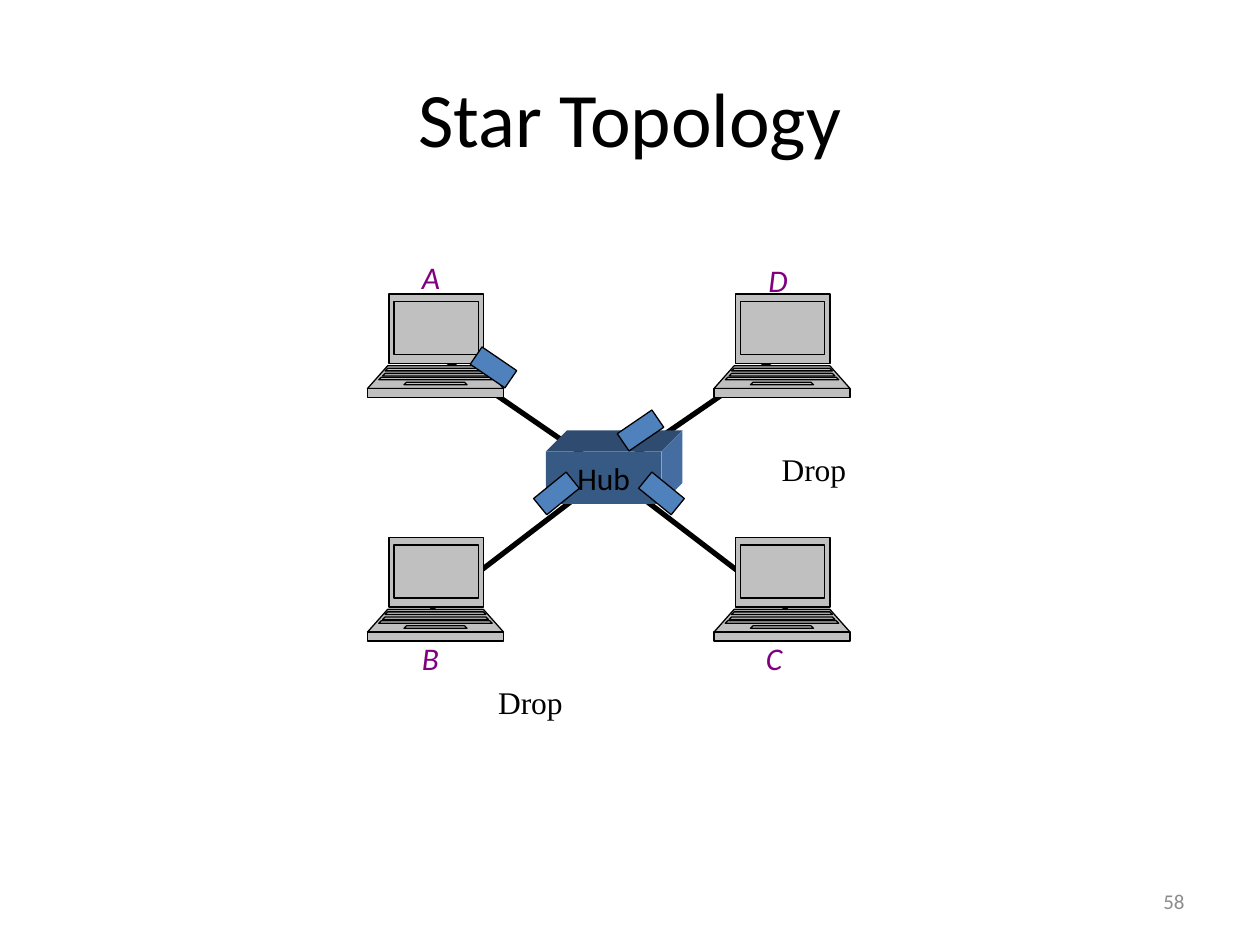
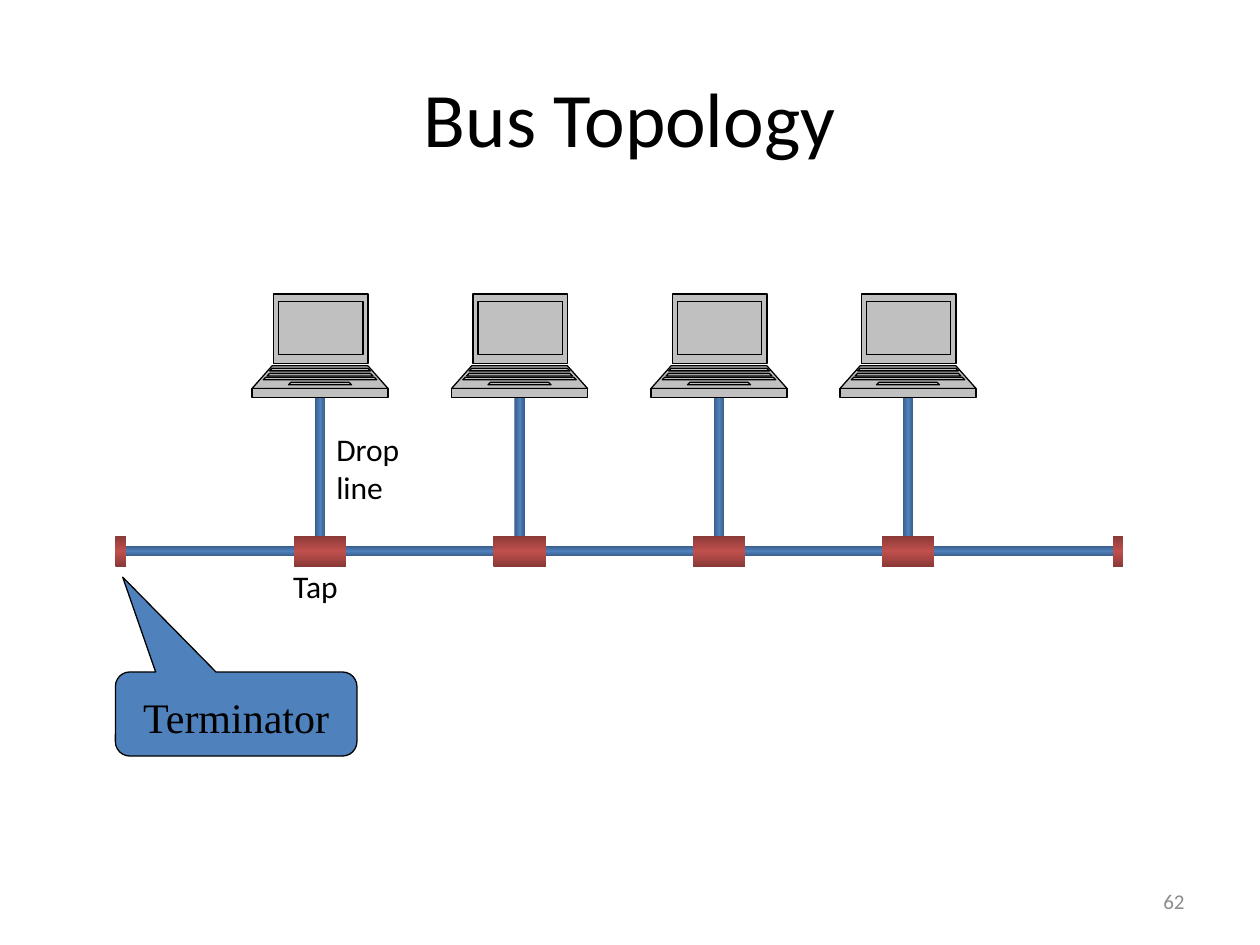
from copy import deepcopy
from typing import NamedTuple

from lxml import etree
from pptx import Presentation
from pptx import util as u
from pptx.dml.color import RGBColor
from pptx.enum import shapes, text
from pptx.oxml import ns

COLS, ROWS = 120, 90  # grid of the slide, twelve cells to the inch
CELL = u.Inches(10) // COLS

BLACK, GREY, PURPLE = "000000", "8C8C8C", "800080"
BLUE, DARK_BLUE = "4F81BD", "395C87"
RED, DARK_RED = "C0504D", "893937"
CASE = "C0C0C0"
HUB_FRONT, HUB_TOP, HUB_SIDE = "375A84", "2F4B70", "456DA2"
SANS, SERIF = "Calibri", "Times New Roman"
RECT = shapes.MSO_SHAPE.RECTANGLE


class Box(NamedTuple):
    """Place and size in grid cells."""
    col: float
    row: float
    width: float
    height: float


class Label(NamedTuple):
    words: str
    box: Box
    color: str = BLACK
    font: str = SANS
    italic: bool = False


class Plug(NamedTuple):
    col: float
    row: float
    angle: float


class Trapezoid(NamedTuple):
    """Part of a laptop, in hundredths of an inch."""
    top_left: int
    top_right: int
    bottom_left: int
    bottom_right: int
    top: int
    bottom: int


LAPTOP_PARTS = (
    Trapezoid(17, 92, 17, 92, 0, 55),    # lid
    Trapezoid(16, 92, 0, 108, 57, 75),   # deck
    Trapezoid(0, 108, 0, 108, 75, 82),   # front edge
    Trapezoid(21, 88, 21, 88, 6, 48),    # screen
    Trapezoid(16, 92, 14, 94, 59, 61),   # three rows of keys
    Trapezoid(14, 94, 12, 96, 63, 65),
    Trapezoid(11, 97, 9, 99, 66, 68),
    Trapezoid(31, 77, 29, 79, 70, 72),   # touchpad
)

TITLE_BOX = Box(6, 3.6, 108, 15)
NUMBER_BOX = Box(86, 83.4, 28, 4.8)
LAPTOP_ROW = 28

# Star slide
STAR_COLS, STAR_ROWS = (35, 68), (LAPTOP_ROW, 51.2)
HUB = Box(52, 43, 11, 5)
HUB_DEPTH = 2
HUB_CENTER = (58, 45)
CABLE_ENDS = ((42, 34), (74, 34), (41, 58), (75, 58))
PLUGS = (Plug(45, 34, 34.3), Plug(59, 40, 325.7),
         Plug(51, 46, 320.9), Plug(61, 46, 39.1))
STAR_LABELS = (
    Label("A", Box(39, 24, 4.2, 4.8), PURPLE, italic=True),
    Label("D", Box(72, 24.25, 4.4, 4.8), PURPLE, italic=True),
    Label("B", Box(39, 60.25, 4.2, 4.8), PURPLE, italic=True),
    Label("C", Box(71.75, 60.25, 4.2, 4.8), PURPLE, italic=True),
    Label("Drop", Box(46.25, 64.5, 8.8, 4.8), font=SERIF),
    Label("Drop", Box(73.25, 42.25, 8.8, 4.8), font=SERIF),
)

# Bus slide
BUS_COLS = (24, 43, 62, 80)
BUS = Box(12, 52, 94, 1)
TAP_ROW, TAP_HEIGHT = 51, 3
BUS_LABELS = (
    Label("Drop\vline", Box(30.85, 40.4, 8.9, 8.4)),
    Label("Tap", Box(26.75, 53.4, 7.4, 4.8)),
)
CALLOUT = Box(11, 64, 23, 8)


def grid(cells: float) -> u.Emu:
    return u.Emu(round(cells * CELL))


def place(box: Box) -> tuple:
    return tuple(grid(v) for v in box)


def rgb(color: str) -> RGBColor:
    return RGBColor.from_string(color)


def paint(sp, fill: str, line: str = "") -> None:
    """Fill a shape and give it a thin outline if a line colour is named."""
    sp.shadow.inherit = False
    sp.fill.solid()
    sp.fill.fore_color.rgb = rgb(fill)
    if line:
        sp.line.color.rgb = rgb(line)
        sp.line.width = u.Pt(0.75)
    else:
        sp.line.fill.background()


def write(sp, words: str, *, size: float = 18, font: str = SANS,
          color: str = BLACK, italic: bool = False, align: str = "LEFT",
          anchor: str = "TOP", wrap: bool = True, grow: bool = False) -> None:
    tf = sp.text_frame
    tf.word_wrap = wrap
    tf.vertical_anchor = text.MSO_ANCHOR[anchor]
    if grow:
        tf.auto_size = text.MSO_AUTO_SIZE.SHAPE_TO_FIT_TEXT
    p = tf.paragraphs[0]
    p.text = words
    p.alignment = text.PP_ALIGN[align]
    for r in p.runs:
        r.font.size, r.font.name, r.font.italic = u.Pt(size), font, italic
        r.font.color.rgb = rgb(color)


def add_slide(prs, title: str, number: str):
    s = prs.slides.add_slide(prs.slide_layouts[5])
    sp = s.shapes.title
    sp.left, sp.top, sp.width, sp.height = place(TITLE_BOX)
    write(sp, title, size=44, align="CENTER", anchor="MIDDLE")
    write(s.shapes.add_textbox(*place(NUMBER_BOX)), number, size=12,
          color=GREY, align="RIGHT", anchor="MIDDLE")
    return s


def add_labels(s, labels: tuple) -> None:
    for label in labels:
        write(s.shapes.add_textbox(*place(label.box)), label.words,
              font=label.font, color=label.color, italic=label.italic,
              wrap=False, grow=True)


def add_rect(s, box: Box, fill: str, line: str = ""):
    sp = s.shapes.add_shape(RECT, *place(box))
    paint(sp, fill, line)
    return sp


def add_tube(s, box: Box, edge: str, middle: str, angle: float) -> None:
    """Draw a rectangle shaded from both edges to the middle."""
    sp = add_rect(s, box, middle)
    sp.fill.gradient()
    sp.fill.gradient_angle = angle
    stops = sp._element.find(f".//{ns.qn('a:gsLst')}")
    stops.append(deepcopy(stops[-1]))
    for i, stop in enumerate(sp.fill.gradient_stops):
        stop.position = i / 2
        stop.color.rgb = rgb(middle if i == 1 else edge)


def add_laptop(s, col: float, row: float) -> None:
    """Draw a laptop as one outline whose parts are filled one over another."""
    builder = None
    for part in LAPTOP_PARTS:
        if builder is None:
            builder = s.shapes.build_freeform(part.top_left, part.top,
                                              scale=u.Inches(0.01))
        else:
            builder.move_to(part.top_left, part.top)
        builder.add_line_segments([(part.top_right, part.top),
                                   (part.bottom_right, part.bottom),
                                   (part.bottom_left, part.bottom)])
    sp = builder.convert_to_shape(grid(col), grid(row))
    paint(sp, CASE, BLACK)

    outline = sp._element.find(f".//{ns.qn('a:path')}")
    parts = outline.getparent()
    for step in list(outline):
        if step.tag == ns.qn("a:moveTo"):
            contour = etree.SubElement(parts, outline.tag, dict(outline.attrib))
        contour.append(step)
    parts.remove(outline)


def add_cable(s, start: tuple, end: tuple) -> None:
    c = s.shapes.add_connector(shapes.MSO_CONNECTOR.STRAIGHT,
                               *(grid(v) for v in start + end))
    c.line.color.rgb = rgb(BLACK)
    c.line.width = u.Pt(3)
    etree.SubElement(c._element.spPr, ns.qn("a:effectLst"))


def add_face(s, corners: list, fill: str) -> None:
    builder = s.shapes.build_freeform(*corners[0], scale=CELL)
    builder.add_line_segments(corners[1:])
    paint(builder.convert_to_shape(), fill)


def add_hub(s) -> None:
    left, top, width, height = HUB
    right, bottom, d = left + width, top + height, HUB_DEPTH
    add_face(s, [(left, top), (left + d, top - d), (right + d, top - d),
                 (right, top)], HUB_TOP)
    add_face(s, [(right, top), (right + d, top - d), (right + d, bottom - d),
                 (right, bottom)], HUB_SIDE)
    write(add_rect(s, HUB, HUB_FRONT), "Hub", align="CENTER",
          anchor="MIDDLE", wrap=False)


def star_slide(prs) -> None:
    s = add_slide(prs, "Star Topology", "58")
    for end in CABLE_ENDS:
        add_cable(s, HUB_CENTER, end)
    for row in STAR_ROWS:
        for col in STAR_COLS:
            add_laptop(s, col, row)
    add_hub(s)
    for plug in PLUGS:
        sp = add_rect(s, Box(plug.col, plug.row, 4, 2), BLUE, BLACK)
        sp.rotation = plug.angle
    add_labels(s, STAR_LABELS)


def bus_slide(prs) -> None:
    s = add_slide(prs, "Bus Topology", "62")
    add_tube(s, BUS, DARK_BLUE, BLUE, 90)
    for col in BUS_COLS:
        add_tube(s, Box(col + 6, 35, 1, 18), DARK_BLUE, BLUE, 0)
        add_tube(s, Box(col + 4, TAP_ROW, 5, TAP_HEIGHT), DARK_RED, RED, 90)
        add_laptop(s, col, LAPTOP_ROW)
    for col in (BUS.col - 1, BUS.col + BUS.width):
        add_tube(s, Box(col, TAP_ROW, 1, TAP_HEIGHT), DARK_RED, RED, 90)
    add_labels(s, BUS_LABELS)

    sp = s.shapes.add_shape(shapes.MSO_SHAPE.ROUNDED_RECTANGULAR_CALLOUT,
                            *place(CALLOUT))
    for i, value in enumerate((-0.47, -1.63, 0.17)):
        sp.adjustments[i] = value
    paint(sp, BLUE, BLACK)
    write(sp, "Terminator", size=24, font=SERIF, align="CENTER")
    sp.text_frame.margin_top = u.Inches(0.12)


def main() -> None:
    prs = Presentation()
    prs.slide_width, prs.slide_height = grid(COLS), grid(ROWS)
    star_slide(prs)
    bus_slide(prs)
    prs.save("out.pptx")


if __name__ == "__main__":
    main()
